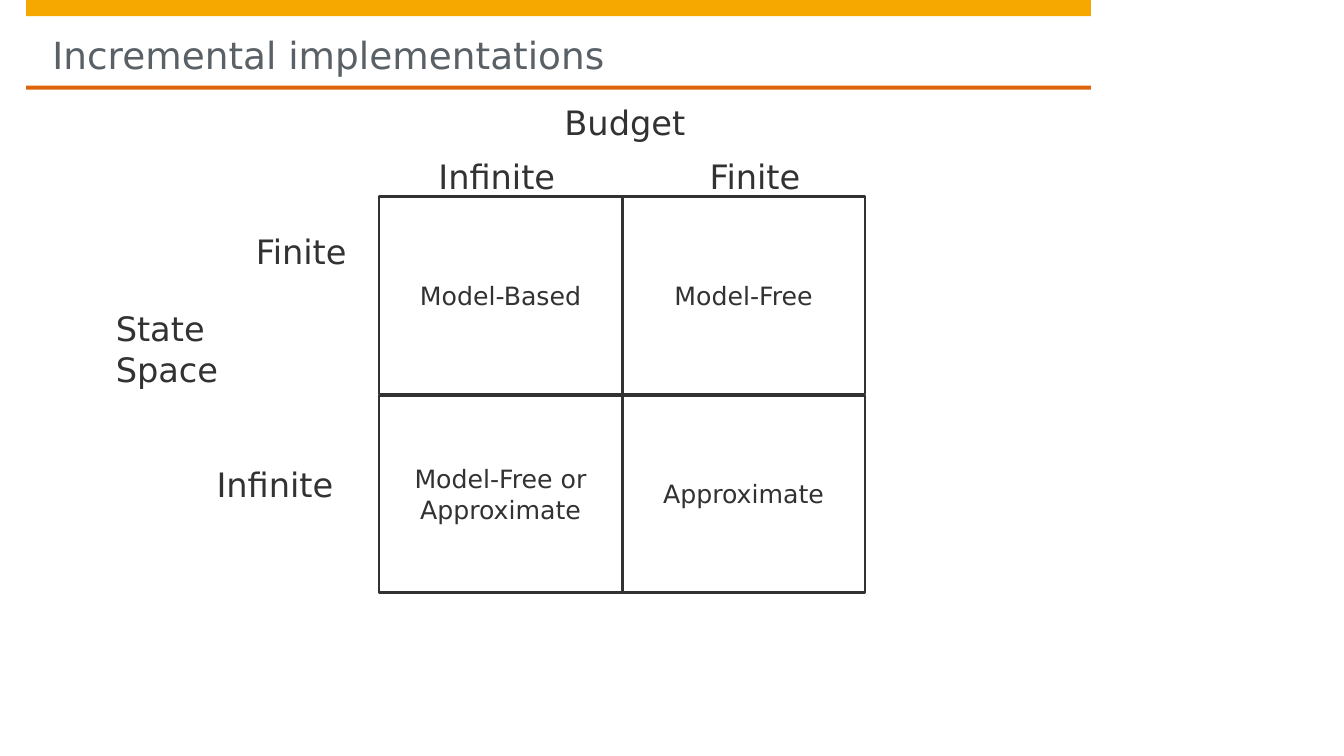
"""Build the slide that maps budget and state space to solution methods."""
from dataclasses import dataclass

from pptx import Presentation
from pptx import util as u
from pptx.dml.color import RGBColor
from pptx.enum import shapes, text

COLOURS = {"amber": "F6A800", "orange": "DD640C", "title": "5A6166",
           "ink": "323232", "white": "FFFFFF"}
FONT = "DejaVu Sans"
GRID_LEFT, GRID_TOP = 3.76, 1.95
CELL_WIDTH, CELL_HEIGHT, ROW_PITCH = 2.41, 1.96, 1.97


@dataclass
class Box:
    """Position and size in inches."""
    left: float
    top: float
    width: float
    height: float

    def lengths(self) -> list[u.Length]:
        """Return the four values as lengths."""
        return [u.Inches(value) for value in
                (self.left, self.top, self.width, self.height)]


@dataclass
class Label:
    """A heading beside the grid."""
    wording: str
    box: Box


BANDS = [("amber", Box(0.26, 0, 10.56, 0.16)),
         ("orange", Box(0.26, 0.85, 10.56, 0.04))]
METHODS = [["Model-Based", "Model-Free"],
           ["Model-Free or\nApproximate", "Approximate"]]
LABELS = [
    Label("Budget", Box(5.5, 0.96, 1.81, 0.5)),
    Label("Infinite", Box(4.25, 1.5, 1.53, 0.5)),
    Label("Finite", Box(6.94, 1.5, 1.34, 0.5)),
    Label("State Space", Box(1.05, 3.01, 1.27, 0.91)),
    Label("Finite", Box(2.44, 2.24, 1.27, 0.5)),
    Label("Infinite", Box(2.05, 4.55, 1.67, 0.5)),
]


def colour(name: str) -> RGBColor:
    """Look up a named colour."""
    return RGBColor.from_string(COLOURS[name])


def write(frame, wording: str, size: float, ink: str, alignment) -> None:
    """Fill a text frame with uniformly formatted paragraphs."""
    frame.text = wording
    frame.word_wrap = True
    for paragraph in frame.paragraphs:
        paragraph.alignment = alignment
        paragraph.font.name = FONT
        paragraph.font.size = u.Pt(size)
        paragraph.font.color.rgb = colour(ink)


def add_rectangle(slide, box: Box, fill: str):
    """Add a plain filled rectangle without an outline."""
    shape = slide.shapes.add_shape(
        shapes.MSO_SHAPE.RECTANGLE, *box.lengths())
    shape.shadow.inherit = False
    shape.fill.solid()
    shape.fill.fore_color.rgb = colour(fill)
    shape.line.fill.background()
    return shape


def add_cell(slide, row: int, column: int, wording: str) -> None:
    """Add one outlined method cell of the grid."""
    box = Box(GRID_LEFT + column * CELL_WIDTH, GRID_TOP + row * ROW_PITCH,
              CELL_WIDTH, CELL_HEIGHT)
    shape = add_rectangle(slide, box, "white")
    shape.line.color.rgb = colour("ink")
    shape.line.width = u.Pt(2)
    shape.text_frame.vertical_anchor = text.MSO_ANCHOR.MIDDLE
    write(shape.text_frame, wording, 18, "ink", text.PP_ALIGN.CENTER)


def add_label(slide, label: Label) -> None:
    """Add one heading."""
    frame = slide.shapes.add_textbox(*label.box.lengths()).text_frame
    write(frame, label.wording, 24, "ink", text.PP_ALIGN.LEFT)
    frame.auto_size = text.MSO_AUTO_SIZE.SHAPE_TO_FIT_TEXT


def format_title(slide, wording: str) -> None:
    """Place and format the title placeholder."""
    title = slide.shapes.title
    title.left, title.top, title.width, title.height = Box(
        0.52, 0.16, 10.03, 0.61).lengths()
    frame = title.text_frame
    frame.margin_left = frame.margin_right = frame.margin_bottom = 0
    frame.margin_top = u.Inches(0.16)
    frame.vertical_anchor = text.MSO_ANCHOR.TOP
    write(frame, wording, 26.7, "title", text.PP_ALIGN.LEFT)
    frame.auto_size = text.MSO_AUTO_SIZE.SHAPE_TO_FIT_TEXT


def main() -> None:
    """Build and save the presentation."""
    presentation = Presentation()
    presentation.slide_width = u.Inches(13.33)
    presentation.slide_height = u.Inches(7.5)
    slide = presentation.slides.add_slide(presentation.slide_layouts[5])
    format_title(slide, "Incremental implementations")
    for fill, box in BANDS:
        add_rectangle(slide, box, fill)
    for row, methods in enumerate(METHODS):
        for column, method in enumerate(methods):
            add_cell(slide, row, column, method)
    for label in LABELS:
        add_label(slide, label)
    presentation.save("out.pptx")


if __name__ == "__main__":
    main()
